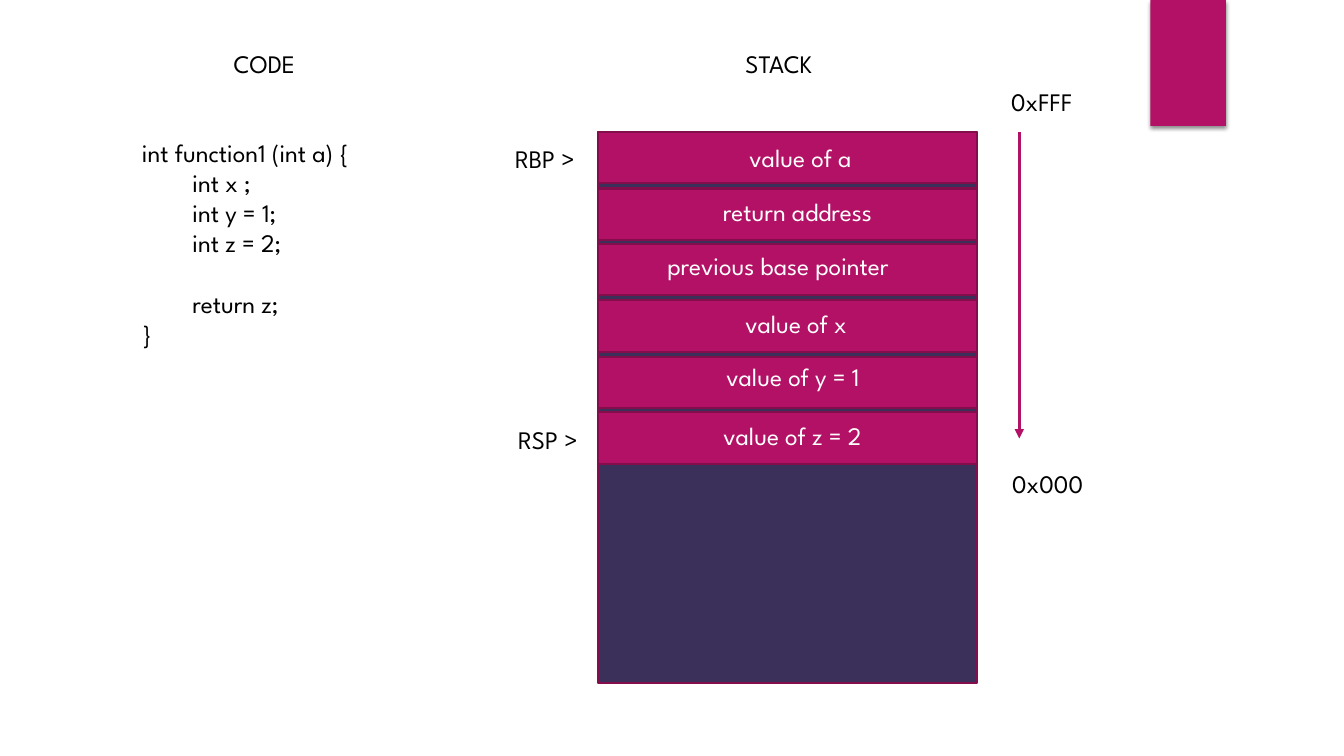
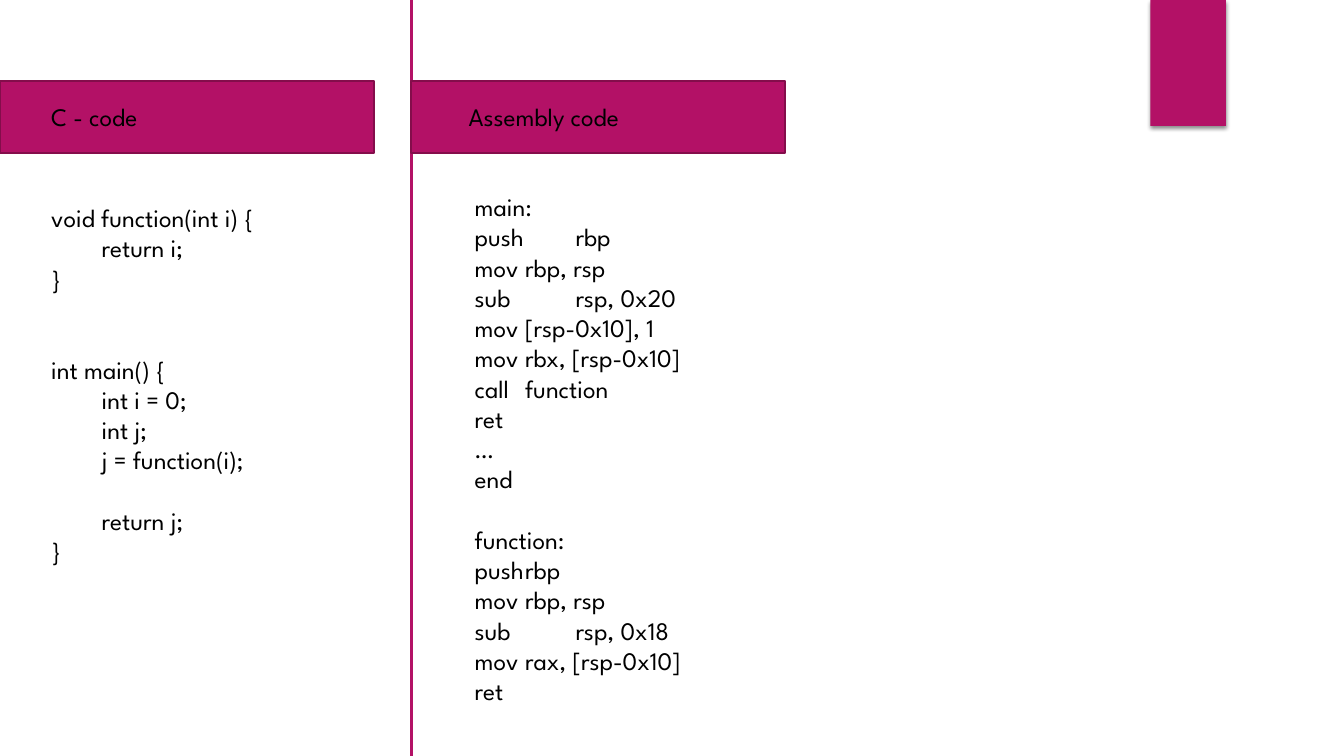
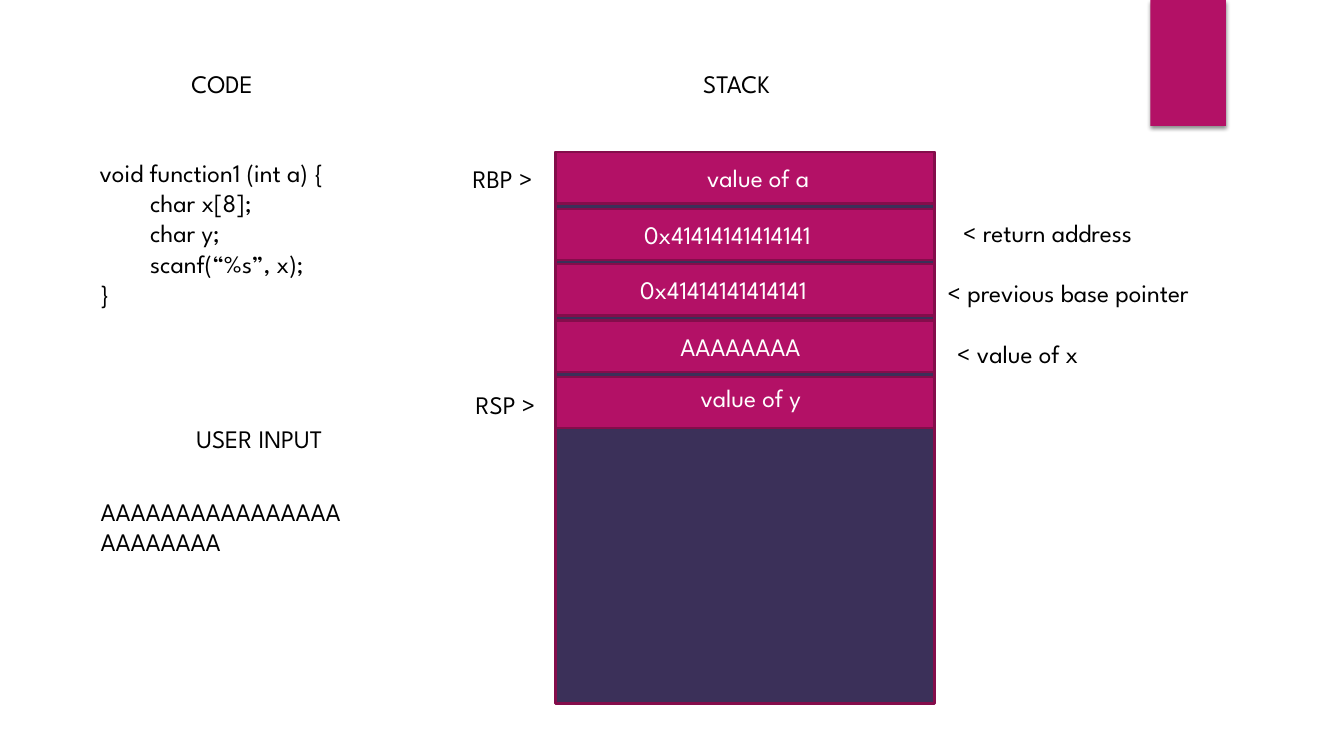
from dataclasses import dataclass

from lxml.etree import SubElement
from pptx import Presentation
from pptx.dml.color import RGBColor
from pptx.enum.shapes import MSO_CONNECTOR, MSO_SHAPE
from pptx.enum.text import PP_ALIGN
from pptx.oxml.ns import qn
from pptx.shapes.autoshape import Shape
from pptx.slide import Slide, SlideLayout
from pptx.util import Emu, Pt

EMU_PER_PX = 9144
SLIDE_WIDTH, SLIDE_HEIGHT = 1333, 750
PANEL_WIDTH, PANEL_HEIGHT = 376, 547
SLOT_HEIGHT, SLOT_PITCH = 51, 55.7
LINE_HEIGHT = 40
INDENT = 50
HEADER_TOP, HEADER_WIDTH, HEADER_HEIGHT = 80, 371, 72


@dataclass(frozen=True)
class Theme:
    font: str = "League Spartan"
    size: float = 18
    blank_line: float = 21.7
    outline: float = 1.5
    rule: float = 2.25
    accent: str = "B31166"
    edge: str = "840D4B"
    memory: str = "3B3059"
    dark: str = "000000"
    light: str = "FFFFFF"


THEME = Theme()
TEXT_FORMAT = {"name": THEME.font, "size": Pt(THEME.size)}


@dataclass(frozen=True)
class Slot:
    label: str
    left: int
    drop: int
    width: int
    centered: bool = True


@dataclass(frozen=True)
class Note:
    text: str
    left: int
    top: int
    width: int
    centered: bool = False


@dataclass(frozen=True)
class Column:
    title: str
    left: int
    title_left: int
    code: str
    code_left: int
    code_top: int
    code_width: int


@dataclass(frozen=True)
class StackSlide:
    left: int
    top: int
    code: str
    slots: tuple[Slot, ...]
    notes: tuple[Note, ...]


VALUE_OF_A = Slot("value of a", 89, 5, 224)

LOCALS_STACK = StackSlide(
    593, 131,
    """int function1 (int a) {
\tint x ;
\tint y = 1;
\tint z = 2;

\treturn z;
}""",
    (
        VALUE_OF_A,
        Slot("return address", 86, 3, 224),
        Slot("previous base pointer", 59, 1, 318, False),
        Slot("value of x", 59, 3, 275),
        Slot("value of y = 1", 74, 0, 239),
        Slot("value of z = 2", 94, 3, 198),
    ),
    (Note("0xFFF", 993, 81, 91), Note("0x000", 994, 460, 122)),
)

OVERFLOW_STACK = StackSlide(
    551, 151,
    """void function1 (int a) {
\tchar x[8];
\tchar y;
\tscanf(“%s”, x);
}""",
    (
        VALUE_OF_A,
        Slot("0x41414141414141", 78, 6, 260, False),
        Slot("0x41414141414141", 74, 5, 260, False),
        Slot("AAAAAAAA", 114, 6, 171, False),
        Slot("value of y", 74, 0, 239),
    ),
    (
        Note("< return address", 927, 211, 224, True),
        Note("< previous base pointer", 930, 270, 318),
        Note("< value of x", 906, 331, 207, True),
        Note("USER INPUT", 185, 415, 170),
        Note("AAAAAAAAAAAAAAAA AAAAAAAA", 90, 487, 341),
    ),
)

CODE_COLUMNS = (
    Column("C - code", 0, 41, """void function(int i) {
\treturn i;
}


int main() {
\tint i = 0;
\tint j;
\tj = function(i);

\treturn j;
}""", 41, 196, 330),
    Column("Assembly code", 408, 455, """main:
push\t\trbp
mov\trbp, rsp
sub\t\trsp, 0x20
mov\t[rsp-0x10], 1
mov\trbx, [rsp-0x10]
call\tfunction
ret
…
end

function:
push\trbp
mov\trbp, rsp
sub\t\trsp, 0x18
mov\trax, [rsp-0x10]
ret""", 461, 185, 637),
)


def px(length: float) -> Emu:
    return Emu(round(length * EMU_PER_PX))


def rgb(color: str) -> RGBColor:
    return RGBColor.from_string(color)


def add_box(slide: Slide, left: int, top: int, width: int, height: int,
            fill: str, outlined: bool = True) -> Shape:
    shape = slide.shapes.add_shape(
        MSO_SHAPE.RECTANGLE, px(left), px(top), px(width), px(height))
    shape.shadow.inherit = False
    shape.fill.solid()
    shape.fill.fore_color.rgb = rgb(fill)
    if outlined:
        shape.line.color.rgb = rgb(THEME.edge)
        shape.line.width = Pt(THEME.outline)
    else:
        shape.line.fill.background()
    return shape


def add_text(slide: Slide, text: str, left: int, top: int, width: int,
             centered: bool = False, color: str = THEME.dark) -> None:
    lines = text.split("\n")
    box = slide.shapes.add_textbox(
        px(left), px(top), px(width), px(LINE_HEIGHT + 30 * (len(lines) - 1)))
    frame = box.text_frame
    frame.word_wrap = True
    paragraph = frame.paragraphs[0]
    blanks = 0
    for index, line in enumerate(lines):
        if not line:
            blanks += 1
            continue
        if index:
            paragraph = frame.add_paragraph()
        paragraph.alignment = PP_ALIGN.CENTER if centered else PP_ALIGN.LEFT
        if blanks:
            paragraph.space_before = Pt(blanks * THEME.blank_line)
            blanks = 0
        content = line.lstrip("\t")
        depth = len(line) - len(content)
        if depth:
            properties = paragraph._p.get_or_add_pPr()
            properties.set("marL", str(px(depth * INDENT)))
            properties.set("indent", "0")
        run = paragraph.add_run()
        run.text = content
        for name, value in TEXT_FORMAT.items():
            setattr(run.font, name, value)
        run.font.color.rgb = rgb(color)


def add_vertical_line(slide: Slide, left: int, top: int, bottom: int,
                      arrow: bool = False) -> None:
    connector = slide.shapes.add_connector(
        MSO_CONNECTOR.STRAIGHT, px(left), px(top), px(left), px(bottom))
    connector.line.color.rgb = rgb(THEME.accent)
    connector.line.width = Pt(THEME.rule)
    properties = connector._element.spPr
    if arrow:
        SubElement(properties.find(qn("a:ln")), qn("a:tailEnd"), type="triangle")
    SubElement(properties, qn("a:effectLst"))


def move_tag_to_layout(slide: Slide, layout: SlideLayout) -> None:
    tag = add_box(slide, 1141, 0, 75, 125, THEME.accent, outlined=False)
    effects = tag._element.spPr.find(qn("a:effectLst"))
    shadow = SubElement(effects, qn("a:outerShdw"), blurRad=str(Pt(3)),
                        dist=str(Pt(2)), dir="5400000", rotWithShape="0")
    color = SubElement(shadow, qn("a:srgbClr"), val=THEME.dark)
    SubElement(color, qn("a:alpha"), val="45000")
    tag._element.nvSpPr.cNvPr.set("id", "20")
    layout.shapes._spTree.append(tag._element)


def draw_stack(slide: Slide, stack: StackSlide) -> None:
    left, top = stack.left, stack.top
    add_box(slide, left, top, PANEL_WIDTH, PANEL_HEIGHT, THEME.memory)
    add_text(slide, "CODE", left - 371, top - 88, 170)
    add_text(slide, "STACK", left + 19, top - 88, 321, centered=True)
    add_text(slide, stack.code, left - 462, top, 292)
    slot_tops = [top + round(index * SLOT_PITCH)
                 for index in range(len(stack.slots))]
    for slot, slot_top in zip(stack.slots, slot_tops):
        add_box(slide, left, slot_top, PANEL_WIDTH, SLOT_HEIGHT, THEME.accent)
        add_text(slide, slot.label, left + slot.left, slot_top + slot.drop,
                 slot.width, slot.centered, THEME.light)
    add_text(slide, "RBP >", left - 92, slot_tops[0] + 6, 106)
    add_text(slide, "RSP >", left - 89, slot_tops[-1] + 7, 106)
    for note in stack.notes:
        add_text(slide, note.text, note.left, note.top, note.width, note.centered)


def draw_columns(slide: Slide, columns: tuple[Column, ...]) -> None:
    add_vertical_line(slide, columns[1].left, 0, SLIDE_HEIGHT)
    for column in columns:
        add_box(slide, column.left, HEADER_TOP, HEADER_WIDTH, HEADER_HEIGHT,
                THEME.accent)
        add_text(slide, column.title, column.title_left, HEADER_TOP + 16, 276)
        add_text(slide, column.code, column.code_left, column.code_top,
                 column.code_width)


def main() -> None:
    presentation = Presentation()
    presentation.slide_width = px(SLIDE_WIDTH)
    presentation.slide_height = px(SLIDE_HEIGHT)
    layout = presentation.slide_layouts[6]
    locals_slide, code_slide, overflow_slide = (
        presentation.slides.add_slide(layout) for _ in range(3))
    move_tag_to_layout(locals_slide, layout)
    draw_stack(locals_slide, LOCALS_STACK)
    add_vertical_line(locals_slide, 1011, 131, 435, arrow=True)
    draw_columns(code_slide, CODE_COLUMNS)
    draw_stack(overflow_slide, OVERFLOW_STACK)
    presentation.save("out.pptx")


if __name__ == "__main__":
    main()
